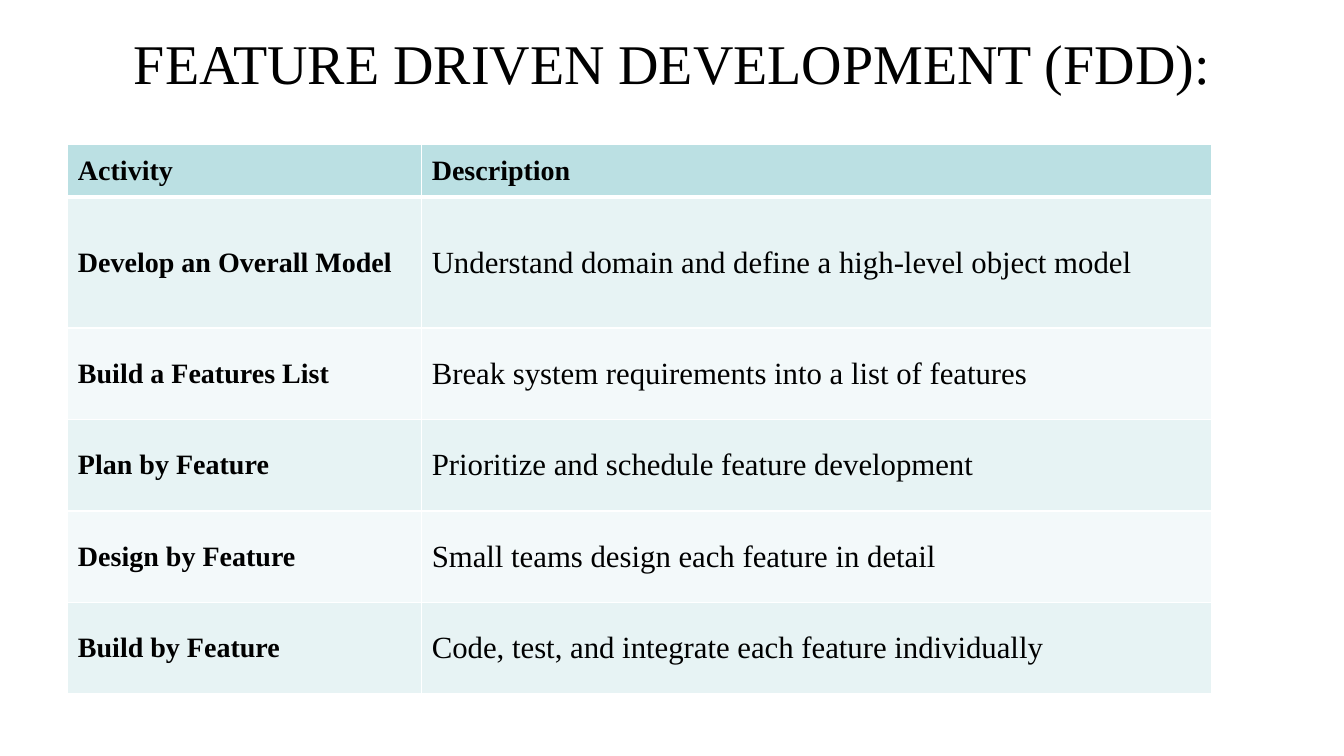
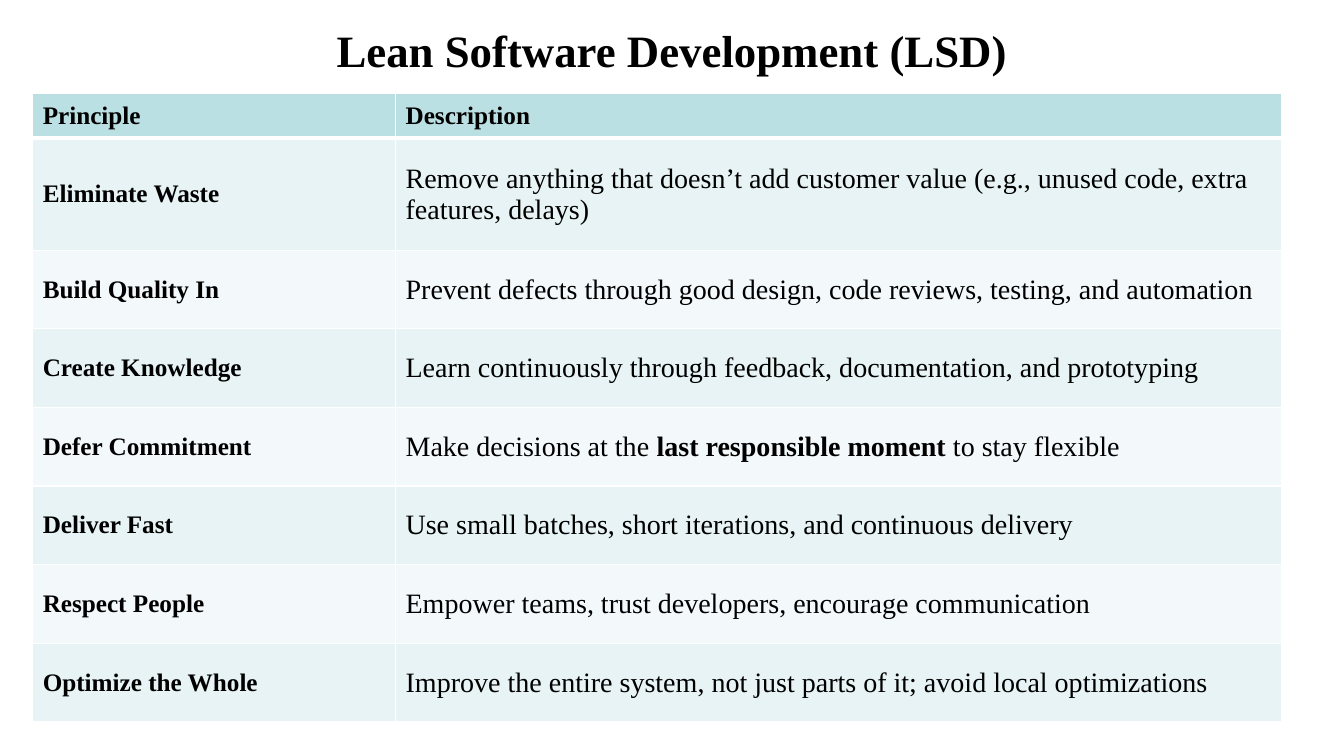
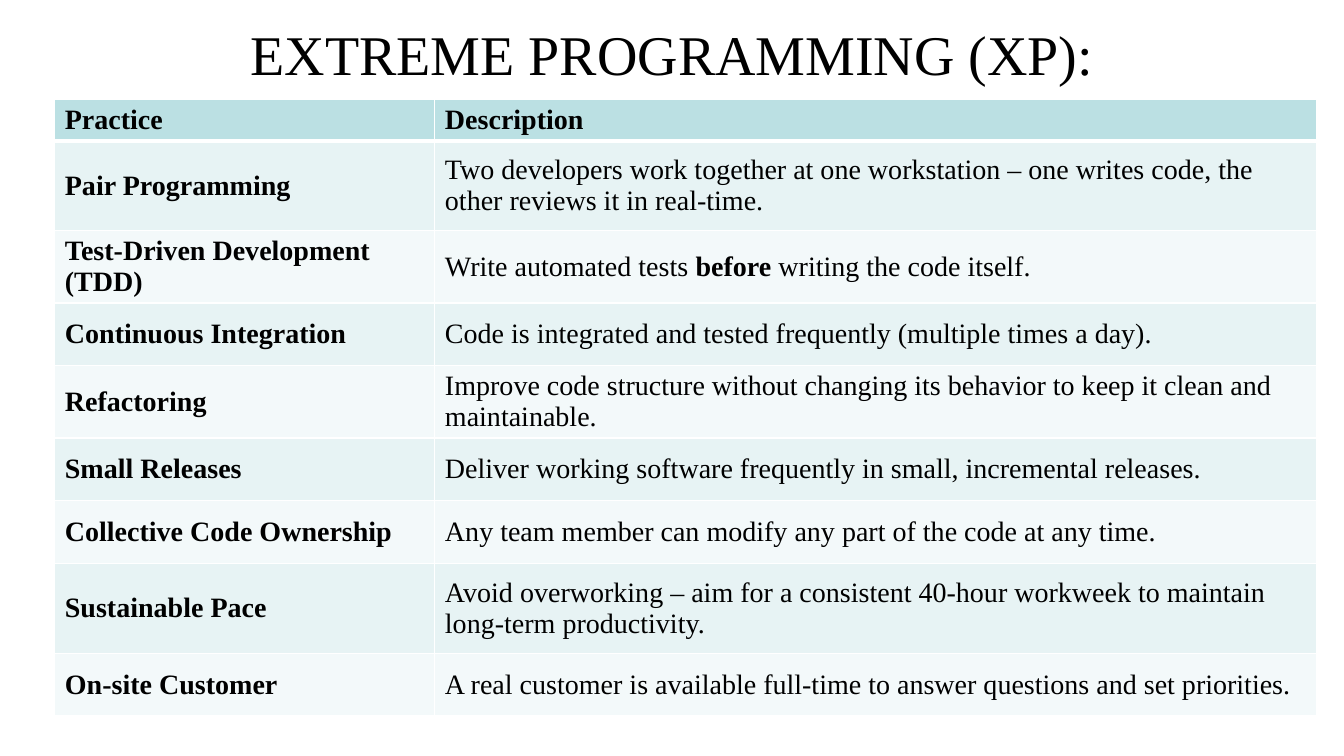
from lxml import etree
from pptx import Presentation
from pptx import util as u
from pptx.dml.color import RGBColor
from pptx.enum import text
from pptx.oxml import ns

COLORS = {"ink": "000000", "rule": "FFFFFF", "header": "BBE0E3",
          "odd": "E7F3F4", "even": "F3F9FA"}
FONT = "Times New Roman"


def apply(target, values):
    for name, value in values.items():
        setattr(target, name, value)


class Deck:
    def __init__(self):
        self.prs = Presentation()
        apply(self.prs, {"slide_width": u.Inches(13.33), "slide_height": u.Inches(7.5)})

    def x(self, percent):
        return round(self.prs.slide_width * percent / 100)

    def y(self, percent):
        return round(self.prs.slide_height * percent / 100)

    def new_slide(self):
        self.slide = self.prs.slides.add_slide(self.prs.slide_layouts[6])

    def add_text(self, paragraph, content, size, bold=False):
        for index, part in enumerate(content.split("**")):
            run = paragraph.add_run()
            run.text = part
            apply(run.font, {"name": FONT, "size": u.Pt(size), "bold": bold or index % 2 == 1})
            run.font.color.rgb = RGBColor.from_string(COLORS["ink"])

    def title(self, heading, top, height, size=40, bold=False):
        box = self.slide.shapes.add_textbox(self.x(5), self.y(top), self.x(90), self.y(height))
        frame = box.text_frame
        apply(frame, {"word_wrap": True, "auto_size": text.MSO_AUTO_SIZE.NONE,
                      "vertical_anchor": text.MSO_ANCHOR.MIDDLE,
                      "margin_top": 0, "margin_bottom": 0})
        frame.paragraphs[0].alignment = text.PP_ALIGN.CENTER
        self.add_text(frame.paragraphs[0], heading, size, bold)

    def borders(self, cell, row):
        widths = {"L": 1, "R": 1, "T": 3 if row == 1 else 1, "B": 3 if row == 0 else 1}
        properties = cell._tc.get_or_add_tcPr()
        for side, width in widths.items():
            line = etree.SubElement(properties, ns.qn(f"a:ln{side}"), w=str(u.Pt(width)))
            fill = etree.SubElement(line, ns.qn("a:solidFill"))
            etree.SubElement(fill, ns.qn("a:srgbClr"), val=COLORS["rule"])

    def table(self, entries, left, top, widths, header, normal, tall, tall_rows, sizes):
        heights = [header] + [tall if row in tall_rows else normal
                              for row in range(1, len(entries))]
        grid = self.slide.shapes.add_table(
            len(entries), len(widths), self.x(left), self.y(top),
            self.x(sum(widths)), self.y(sum(heights))).table
        grid.horz_banding = False
        for column, width in zip(grid.columns, widths):
            column.width = self.x(width)
        for row, (entry, height) in enumerate(zip(entries, heights)):
            grid.rows[row].height = self.y(height)
            shade = "header" if row == 0 else "odd" if row % 2 else "even"
            for column, content in enumerate(entry):
                cell = grid.cell(row, column)
                cell.vertical_anchor = text.MSO_ANCHOR.MIDDLE
                self.borders(cell, row)
                cell.fill.solid()
                cell.fill.fore_color.rgb = RGBColor.from_string(COLORS[shade])
                label = row == 0 or column == 0
                self.add_text(cell.text_frame.paragraphs[0], content,
                              sizes[0] if label else sizes[1], label)


FEATURE_ACTIVITIES = [
    ("Activity", "Description"),
    ("Develop an Overall Model", "Understand domain and define a high-level object model"),
    ("Build a Features List", "Break system requirements into a list of features"),
    ("Plan by Feature", "Prioritize and schedule feature development"),
    ("Design by Feature", "Small teams design each feature in detail"),
    ("Build by Feature", "Code, test, and integrate each feature individually"),
]
LEAN_PRINCIPLES = [
    ("Principle", "Description"),
    ("Eliminate Waste", "Remove anything that doesn’t add customer value "
                        "(e.g., unused code, extra features, delays)"),
    ("Build Quality In", "Prevent defects through good design, code reviews, testing, and automation"),
    ("Create Knowledge", "Learn continuously through feedback, documentation, and prototyping"),
    ("Defer Commitment", "Make decisions at the **last responsible moment** to stay flexible"),
    ("Deliver Fast", "Use small batches, short iterations, and continuous delivery"),
    ("Respect People", "Empower teams, trust developers, encourage communication"),
    ("Optimize the Whole", "Improve the entire system, not just parts of it; avoid local optimizations"),
]
EXTREME_PRACTICES = [
    ("Practice", "Description"),
    ("Pair Programming", "Two developers work together at one workstation – "
                         "one writes code, the other reviews it in real-time."),
    ("Test-Driven Development (TDD)", "Write automated tests **before** writing the code itself."),
    ("Continuous Integration", "Code is integrated and tested frequently (multiple times a day)."),
    ("Refactoring", "Improve code structure without changing its behavior "
                    "to keep it clean and maintainable."),
    ("Small Releases", "Deliver working software frequently in small, incremental releases."),
    ("Collective Code Ownership", "Any team member can modify any part of the code at any time."),
    ("Sustainable Pace", "Avoid overworking – aim for a consistent 40-hour workweek "
                         "to maintain long-term productivity."),
    ("On-site Customer", "A real customer is available full-time to answer questions and set priorities."),
]


def main():
    deck = Deck()

    deck.new_slide()
    deck.title("FEATURE DRIVEN DEVELOPMENT (FDD):", top=4, height=8.5)
    deck.table(FEATURE_ACTIVITIES, left=5.05, top=19.1, widths=(26.33, 58.8),
               header=7, normal=12.1, tall=17.3, tall_rows={1}, sizes=(20, 22))

    deck.new_slide()
    deck.title("Lean Software Development (LSD)", top=2.7, height=7.6, size=32, bold=True)
    deck.table(LEAN_PRINCIPLES, left=2.43, top=12.3, widths=(27, 65.93),
               header=6, normal=10.4, tall=14.8, tall_rows={1}, sizes=(18, 20))

    deck.new_slide()
    deck.title("EXTREME PROGRAMMING (XP):", top=4, height=6)
    deck.table(EXTREME_PRACTICES, left=4.08, top=13.2, widths=(28.28, 65.57),
               header=4.8, normal=8.3, tall=11.87, tall_rows={1, 7}, sizes=(20, 20))

    deck.prs.save("out.pptx")


if __name__ == "__main__":
    main()
